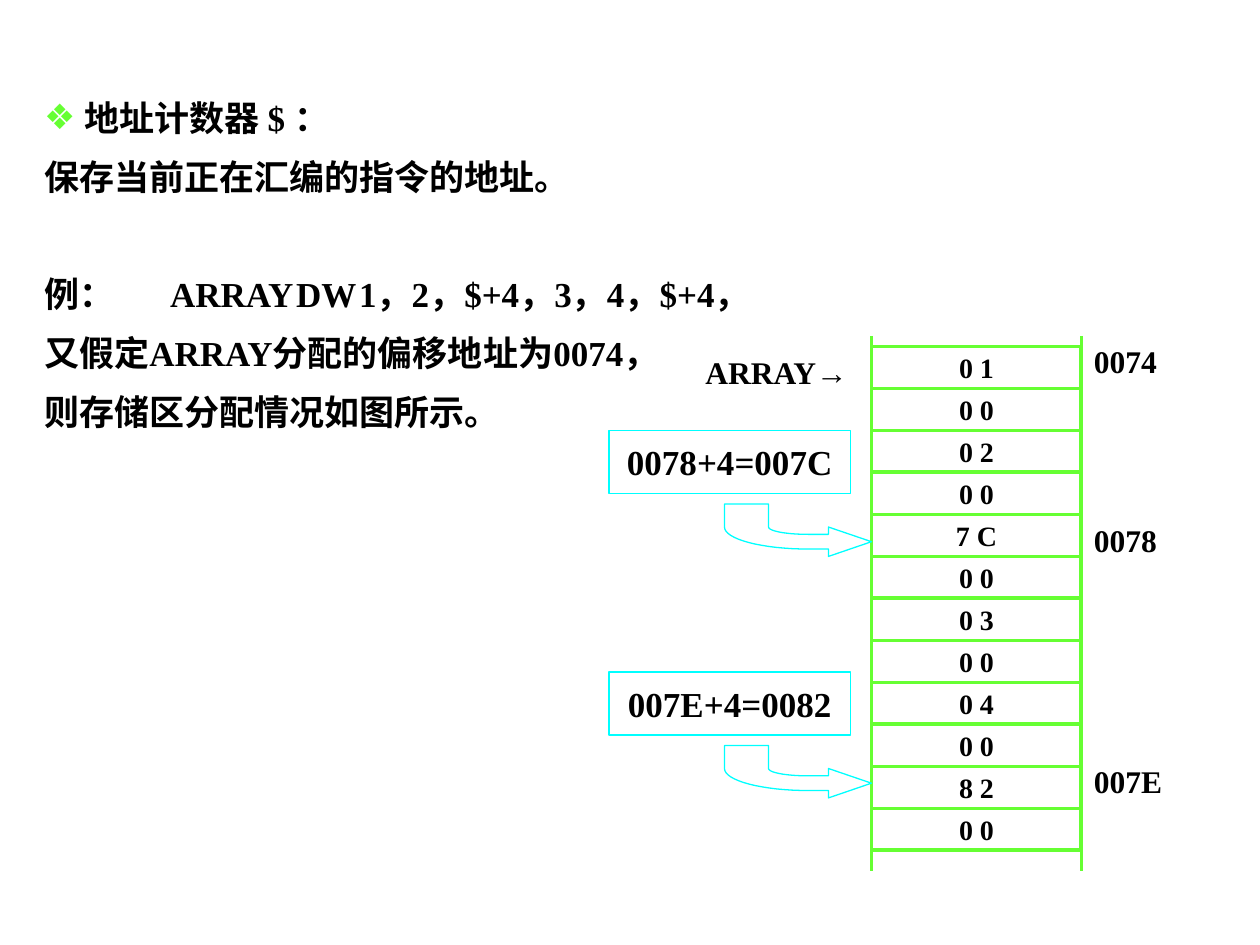
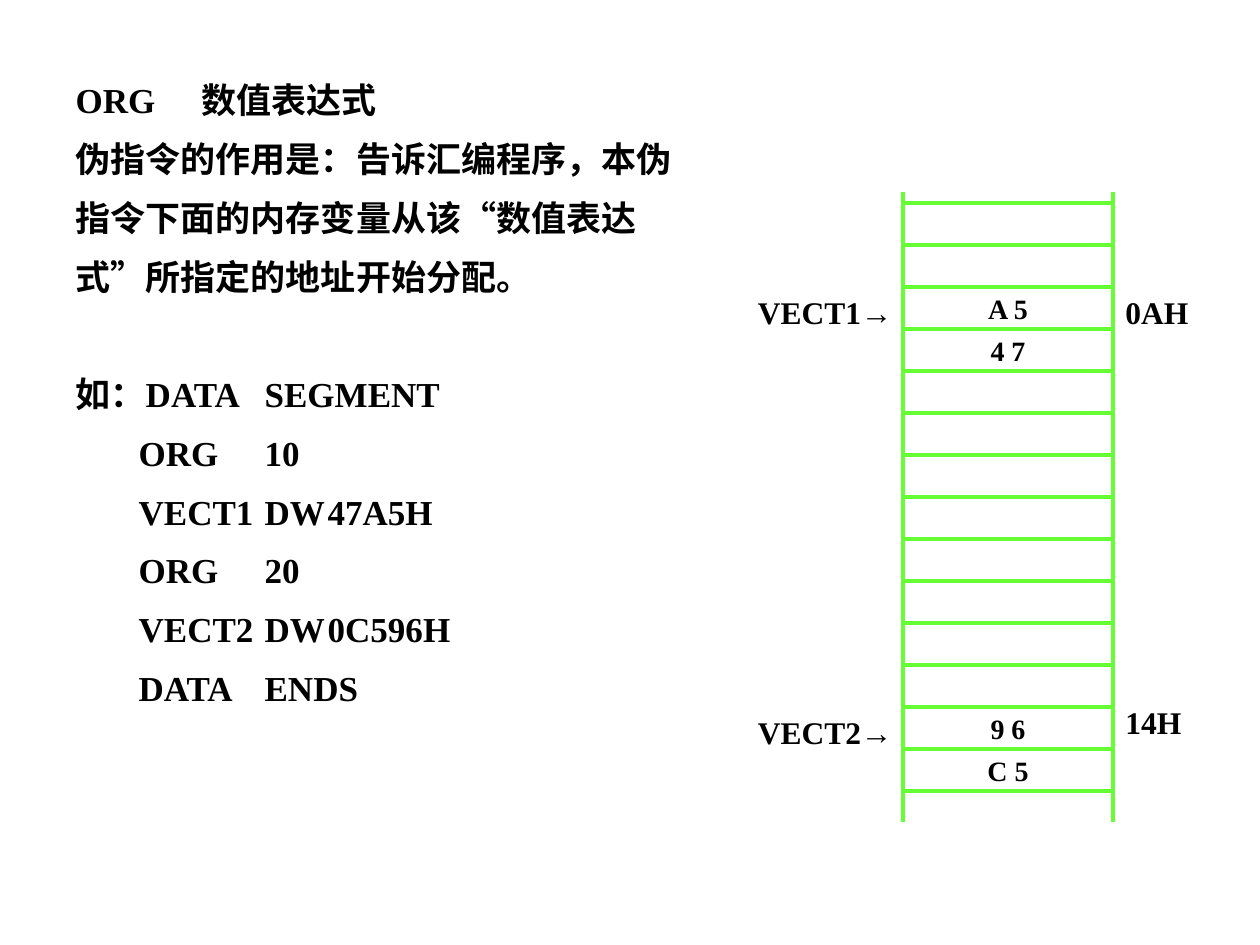
from dataclasses import dataclass
from math import cos, pi, sin

from lxml import etree
from pptx import Presentation
from pptx.dml.color import RGBColor
from pptx.enum.lang import MSO_LANGUAGE_ID
from pptx.enum.shapes import MSO_CONNECTOR, MSO_SHAPE
from pptx.enum.text import MSO_ANCHOR, MSO_AUTO_SIZE, PP_ALIGN
from pptx.oxml.ns import qn
from pptx.util import Emu, Inches, Pt

RECT = MSO_SHAPE.RECTANGLE
STRAIGHT = MSO_CONNECTOR.STRAIGHT
CENTER, LEFT = PP_ALIGN.CENTER, PP_ALIGN.LEFT
MIDDLE, TOP = MSO_ANCHOR.MIDDLE, MSO_ANCHOR.TOP
NO_FIT = MSO_AUTO_SIZE.NONE
CHINESE = MSO_LANGUAGE_ID.SIMPLIFIED_CHINESE

FONT = "Times New Roman"
BLACK, GREEN, CYAN = "000000", "66FF33", "00FFFF"
BODY_SIZE, LABEL_SIZE, CELL_SIZE = 20, 18, 16
WIDTH, HEIGHT = Inches(10), Inches(7.5)
UNIT = WIDTH // 120
CELL_COLS, CELL_ROWS = 20, 4
LABEL_ROWS = 4.8
BLANK_LINE = 33.5


@dataclass
class Line:
    """One paragraph; tab stops are inches from the text edge."""
    text: str
    tabs: tuple[float, ...] = ()
    gap: float = 0
    bullet: str = ""


@dataclass
class Label:
    """A caption beside the memory column, in grid units."""
    text: str
    col: float
    row: float
    cols: float


@dataclass
class Memory:
    """A column of byte cells between two rails, in grid units."""
    col: float
    row: float
    cells: list[str]
    tail: float


def grid(value: float) -> Emu:
    """Turn grid units into a length."""
    return Emu(round(value * UNIT))


def color(value: str) -> RGBColor:
    """Turn a hex string into a colour."""
    return RGBColor.from_string(value)


def style(p, size: float, align=LEFT) -> None:
    """Apply the shared bold face to a paragraph."""
    p.alignment = align
    for r in p.runs:
        r.font.name, r.font.size, r.font.bold = FONT, Pt(size), True
        r.font.color.rgb = color(BLACK)
        r.font.language_id = CHINESE


def outline(sp, line: str, width: float) -> None:
    """Leave a shape hollow with a plain line."""
    sp.shadow.inherit = False
    sp.fill.background()
    sp.line.color.rgb = color(line)
    sp.line.width = Pt(width)


def add_box(shapes, col: float, row: float, cols: float, rows: float,
            text: str, size: float, line: str, width: float) -> None:
    """Draw a hollow rectangle with centred text."""
    sp = shapes.add_shape(RECT, grid(col), grid(row), grid(cols), grid(rows))
    outline(sp, line, width)
    tf = sp.text_frame
    tf.word_wrap = False
    tf.vertical_anchor = MIDDLE
    tf.text = text
    style(tf.paragraphs[0], size, CENTER)


def add_rail(s, col: float, top: float, bottom: float) -> None:
    """Draw one vertical side of the memory column."""
    rail = s.shapes.add_connector(STRAIGHT, grid(col), grid(top), grid(col), grid(bottom))
    rail.line.color.rgb = color(GREEN)
    rail.line.width = Pt(2.25)
    etree.SubElement(rail.element.spPr, qn("a:effectLst"))


def add_memory(s, memory: Memory) -> None:
    """Draw the rails and the cells stacked between them."""
    bottom = memory.row + CELL_ROWS * len(memory.cells) + memory.tail
    for col in (memory.col, memory.col + CELL_COLS):
        add_rail(s, col, memory.row - 1, bottom)
    for i, text in enumerate(memory.cells):
        add_box(s.shapes, memory.col, memory.row + i * CELL_ROWS,
                CELL_COLS, CELL_ROWS, text, CELL_SIZE, GREEN, 2.25)


def add_label(s, label: Label) -> None:
    """Write a caption beside the memory column."""
    sp = s.shapes.add_textbox(grid(label.col), grid(label.row),
                              grid(label.cols), grid(LABEL_ROWS))
    tf = sp.text_frame
    tf.word_wrap = True
    tf.text = label.text
    style(tf.paragraphs[0], LABEL_SIZE)


def quarter(rx: float, ry: float, steps: int = 16) -> list[tuple[float, float]]:
    """Trace a quarter ellipse from its left end down to its foot."""
    angles = [pi / 2 * i / steps for i in range(steps + 1)]
    return [(8 - rx * cos(a), 2.2 + ry * sin(a)) for a in angles]


def add_callout(s, row: float, text: str) -> None:
    """Draw a sum in a box and the bent arrow from it to its cell."""
    group = s.shapes.add_group_shape()
    add_box(group.shapes, 58, row, 23, 6, text, BODY_SIZE, CYAN, 0.75)
    outer, inner = quarter(8, 2.1), quarter(3.8, 0.7)
    points = [(14, 3.6), (9.9, 5), (9.9, 4.3), *reversed(outer),
              (0, 0), (4.2, 0), *inner, (9.9, 2.9), (9.9, 2.2)]
    corners = [(grid(69 + x), grid(row + 7 + y)) for x, y in points]
    builder = group.shapes.build_freeform(*corners[0])
    builder.add_line_segments(corners[1:], close=True)
    outline(builder.convert_to_shape(), CYAN, 0.75)


def set_layout(p, line: Line) -> None:
    """Set the bullet, indent and tab stops of a paragraph."""
    pPr = p._p.get_or_add_pPr()
    indent = Inches(0.32) if line.bullet else 0
    pPr.set("marL", str(indent))
    pPr.set("indent", str(-indent))
    if line.bullet:
        clr = etree.SubElement(pPr, qn("a:buClr"))
        etree.SubElement(clr, qn("a:srgbClr"), val=GREEN)
        etree.SubElement(pPr, qn("a:buChar"), char=line.bullet)
    else:
        etree.SubElement(pPr, qn("a:buNone"))
    if line.tabs:
        stops = etree.SubElement(pPr, qn("a:tabLst"))
        for tab in line.tabs:
            etree.SubElement(stops, qn("a:tab"), pos=str(Inches(tab)), algn="l")


def add_body(s, col: float, row: float, cols: float, rows: float, lines: list[Line]) -> None:
    """Place the body text and fill it line by line."""
    body = s.placeholders[1]
    body.left, body.top = grid(col), grid(row)
    body.width, body.height = grid(cols), grid(rows)
    tf = body.text_frame
    tf.word_wrap = True
    tf.auto_size = NO_FIT
    tf.vertical_anchor = TOP
    for i, line in enumerate(lines):
        p = tf.add_paragraph() if i else tf.paragraphs[0]
        p.text = line.text
        p.line_spacing = 1.4
        p.space_before, p.space_after = Pt(line.gap), Pt(0)
        style(p, BODY_SIZE)
        set_layout(p, line)


def new_slide(prs):
    """Add a slide that keeps only its body placeholder."""
    s = prs.slides.add_slide(prs.slide_layouts[1])
    title = s.shapes.title.element
    title.getparent().remove(title)
    return s


def build_counter(prs) -> None:
    """Build the slide on the address counter."""
    s = new_slide(prs)
    add_body(s, 3, 7, 73, 34.8, [
        Line("地址计数器 $ ：", bullet="❖"),
        Line("保存当前正在汇编的指令的地址。"),
        Line("例：\tARRAY\tDW\t1，2，$+4，3，4，$+4，", (0.69, 1.93, 2.62), BLANK_LINE),
        Line("又假定ARRAY分配的偏移地址为0074，"),
        Line("则存储区分配情况如图所示。"),
    ])
    low_bytes = ["0 1", "0 2", "7 C", "0 3", "0 4", "8 2"]
    cells = [byte for low in low_bytes for byte in (low, "0 0")]
    add_memory(s, Memory(83, 33, cells, 2))
    for label in (Label("ARRAY→", 66, 33, 21), Label("0074", 103, 32, 9),
                  Label("0078", 103, 49, 9), Label("007E", 103, 72, 9)):
        add_label(s, label)
    add_callout(s, 41, "0078+4=007C")
    add_callout(s, 64, "007E+4=0082")


def build_org(prs) -> None:
    """Build the slide on the ORG directive."""
    s = new_slide(prs)
    org, word, segment = (1.67, 2.44), (0.56, 1.67, 2.28), 1.63
    add_body(s, 6, 5.3, 61, 62.9, [
        Line("ORG\t数值表达式", (0.84,)),
        Line("伪指令的作用是：告诉汇编程序，本伪指令下面的内存变量从该"
             "“数值表达式”所指定的地址开始分配。"),
        Line("如：DATA\tSEGMENT", (segment,), BLANK_LINE),
        Line("\tORG\t10", org),
        Line("\tVECT1\tDW\t47A5H", word),
        Line("\tORG\t20", org),
        Line("\tVECT2\tDW\t0C596H", word),
        Line("\tDATA\tENDS", (0.56, segment)),
    ])
    cells = [""] * 2 + ["A 5", "4 7"] + [""] * 8 + ["9 6", "C 5"]
    top = 19.33
    add_memory(s, Memory(86, top, cells, 3))
    for label in (Label("VECT1→", 71, top + 8, 18), Label("0AH", 106, top + 8, 9),
                  Label("VECT2→", 71, top + 48, 18), Label("14H", 106, top + 47, 9)):
        add_label(s, label)


def main() -> None:
    """Build and save the presentation."""
    prs = Presentation()
    prs.slide_width, prs.slide_height = WIDTH, HEIGHT
    build_counter(prs)
    build_org(prs)
    prs.save("out.pptx")


main()
